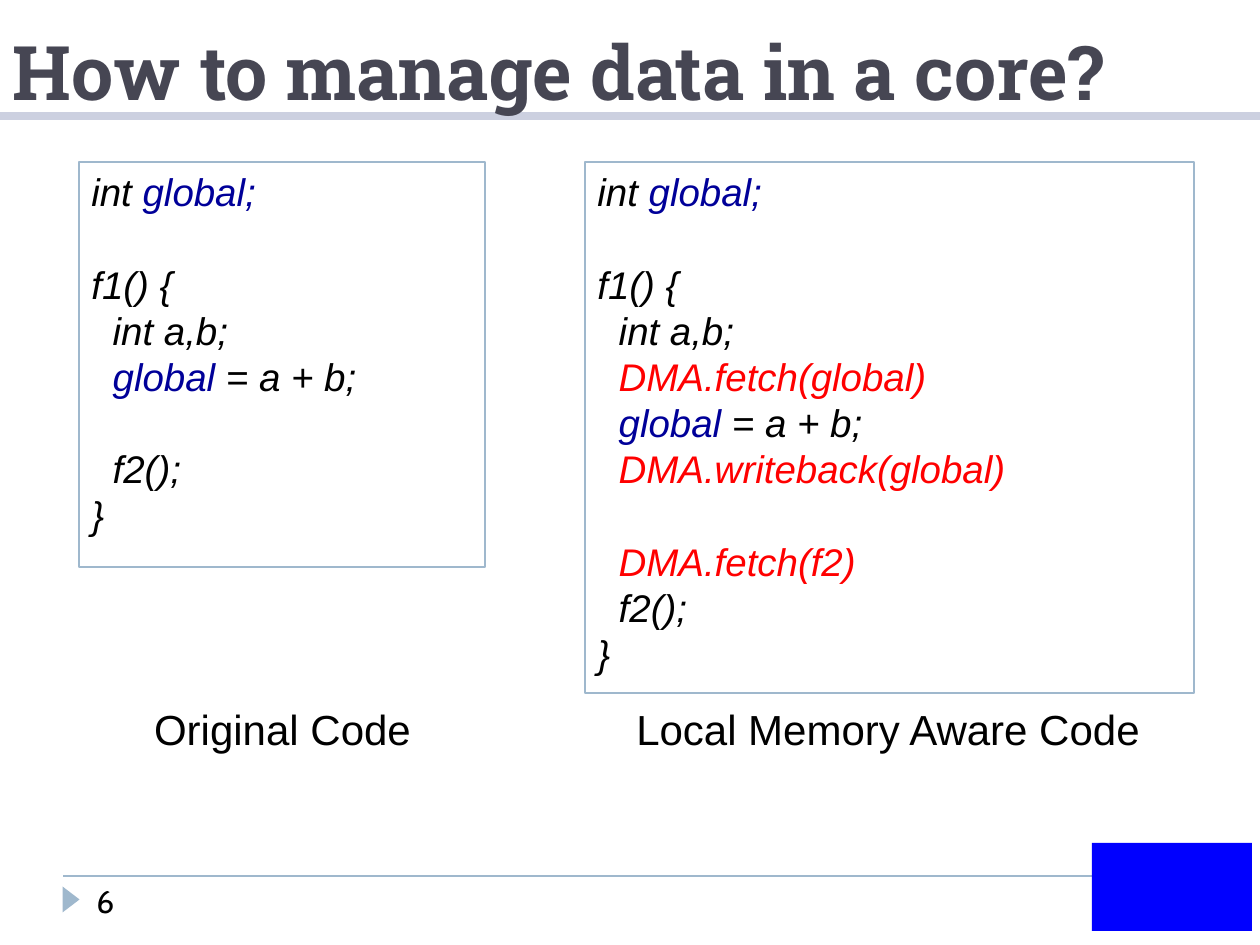
from lxml import etree
from pptx import Presentation
from pptx.dml.color import RGBColor
from pptx.enum.shapes import MSO_CONNECTOR, MSO_SHAPE
from pptx.enum.text import MSO_ANCHOR, PP_ALIGN
from pptx.oxml.ns import qn
from pptx.util import Emu, Pt

STRAIGHT = MSO_CONNECTOR.STRAIGHT
RECTANGLE = MSO_SHAPE.RECTANGLE
TRIANGLE = MSO_SHAPE.ISOSCELES_TRIANGLE
TOP, BOTTOM = MSO_ANCHOR.TOP, MSO_ANCHOR.BOTTOM
LEFT, CENTER = PP_ALIGN.LEFT, PP_ALIGN.CENTER

PX_PER_INCH = 126
WIDTH, HEIGHT = 1260, 945
COLORS = {
    "title": "464653",
    "band": "CCD0E0",
    "accent": "9FB8CD",
    "paper": "FFFFFF",
    "text": "000000",
    "variable": "000099",
    "added": "FF0000",
    "emblem": "0000FF",
}

DECLARATION = [
    [("int", "text"), (" global;", "variable")],
    [],
    [("f1() {", "text")],
    [("  int a,b;", "text")],
]
ASSIGNMENT = [("  ", "text"), ("global", "variable"), (" = a + b;", "text")]
CALL = [[("  f2();", "text")], [("}", "text")]]


def dma(call):
    return [("  ", "text"), (f"DMA.{call}", "added")]


ORIGINAL_CODE = DECLARATION + [ASSIGNMENT, []] + CALL
AWARE_CODE = (
    DECLARATION
    + [dma("fetch(global)"), ASSIGNMENT, dma("writeback(global)"), [], dma("fetch(f2)")]
    + CALL
)


def px(length):
    return Emu(round(length * 914400 / PX_PER_INCH))


def rgb(name):
    return RGBColor.from_string(COLORS[name])


def add_rule(slide, left, top, width, color, weight):
    rule = slide.shapes.add_connector(
        STRAIGHT, px(left), px(top), px(left + width), px(top)
    )
    rule.line.color.rgb = rgb(color)
    rule.line.width = Pt(weight)
    etree.SubElement(rule._element.spPr, qn("a:effectLst"))


def add_block(slide, preset, left, top, width, height, fill):
    block = slide.shapes.add_shape(preset, px(left), px(top), px(width), px(height))
    block.shadow.inherit = False
    block.fill.solid()
    block.fill.fore_color.rgb = rgb(fill)
    block.line.fill.background()
    return block


def add_label(slide, left, top, width, height, text, font, size, color="text", align=LEFT):
    label = slide.shapes.add_textbox(px(left), px(top), px(width), px(height))
    label.text_frame.word_wrap = True
    paragraph = label.text_frame.paragraphs[0]
    paragraph.text = text
    paragraph.alignment = align
    paragraph.font.name = font
    paragraph.font.size = Pt(size)
    paragraph.font.color.rgb = rgb(color)
    return label


def add_header(slide, left, top, width, height):
    add_rule(slide, left, top + height, width, "band", 5)
    title = add_label(
        slide, left, top, width, height,
        "How to manage data in a core?", "Roboto Slab", 43, "title",
    )
    title.text_frame.vertical_anchor = BOTTOM
    title.text_frame.margin_bottom = 0
    title.text_frame.paragraphs[0].font.bold = True


def add_code_panel(slide, left, top, width, height, lines):
    panel = add_block(slide, RECTANGLE, left, top, width, height, "paper")
    panel.line.color.rgb = rgb("accent")
    panel.line.width = Pt(1.5)
    frame = panel.text_frame
    frame.word_wrap = True
    frame.vertical_anchor = TOP
    for index, line in enumerate(lines):
        paragraph = frame.add_paragraph() if index else frame.paragraphs[0]
        paragraph.alignment = LEFT
        paragraph.line_spacing = Pt(26.4)
        paragraph.font.name = "Arial"
        paragraph.font.size = Pt(22)
        paragraph.font.italic = True
        for text, color in line:
            token = paragraph.add_run()
            token.text = text
            token.font.color.rgb = rgb(color)


def add_caption(slide, left, top, width, height, text):
    caption = add_label(slide, left, top, width, height, text, "Arial", 24, align=CENTER)
    caption.text_frame.paragraphs[0].line_spacing = Pt(28.8)


def add_footer(slide, left, top, width, height):
    add_rule(slide, left, top, width, "accent", 1)
    marker = add_block(slide, TRIANGLE, left - 5, top + 15, 26, 17, "accent")
    marker.rotation = 90
    add_label(slide, left + 21, top, 178, height, "6", "Cabin", 18)
    add_block(slide, RECTANGLE, left + width, top - 33, 160, 88, "emblem")


def main():
    deck = Presentation()
    deck.slide_width, deck.slide_height = px(WIDTH), px(HEIGHT)
    slide = deck.slides.add_slide(deck.slide_layouts[6])
    add_header(slide, 0, 0, WIDTH, 116)
    add_code_panel(slide, 79, 162, 406, 405, ORIGINAL_CODE)
    add_code_panel(slide, 585, 162, 609, 531, AWARE_CODE)
    add_caption(slide, 67, 697, 431, 61, "Original Code")
    add_caption(slide, 573, 697, 630, 61, "Local Memory Aware Code")
    add_footer(slide, 63, 876, 1029, 50)
    deck.save("out.pptx")


if __name__ == "__main__":
    main()
